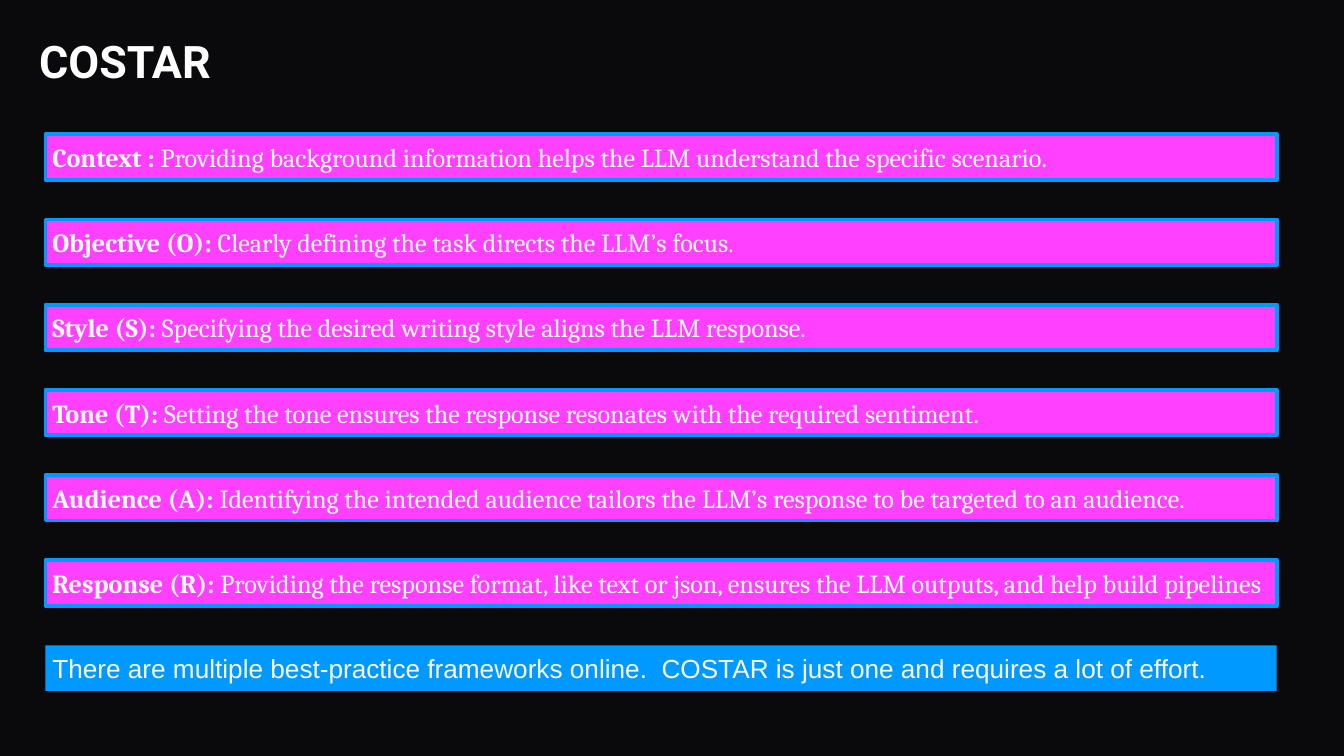
from pptx import Presentation
from pptx.dml.color import RGBColor
from pptx.enum.shapes import MSO_SHAPE
from pptx.enum.text import MSO_ANCHOR, MSO_AUTO_SIZE, PP_ALIGN
from pptx.util import Cm, Pt

COLORS = {
    "background": "0A0A0C",
    "title": "FFFFFF",
    "text": "FAFAFF",
    "letter": "FF40FF",
    "accent": "0099FF",
}

BAR_LEFT, BAR_TOP = 0.86, 2.54
BAR_WIDTH, BAR_HEIGHT = 23.27, 0.86
BAR_PITCH = 1.61

COSTAR = [
    ("Context :", "Providing background information helps the LLM understand the specific scenario."),
    ("Objective (O):", "Clearly defining the task directs the LLM’s focus."),
    ("Style (S):", "Specifying the desired writing style aligns the LLM response."),
    ("Tone (T):", "Setting the tone ensures the response resonates with the required sentiment."),
    ("Audience (A):", "Identifying the intended audience tailors the LLM’s response to be targeted to an audience."),
    ("Response (R):", "Providing the response format, like text or json, ensures the LLM outputs, and help build pipelines"),
]
CAVEAT = "There are multiple best-practice frameworks online.  COSTAR is just one and requires a lot of effort."


def rgb(name):
    return RGBColor.from_string(COLORS[name])


def set_font(paragraph, face, size, color):
    font = paragraph.font
    font.name, font.size = face, Pt(size)
    font.color.rgb = rgb(color)


def set_frame(frame, inset):
    frame.word_wrap = True
    frame.vertical_anchor = MSO_ANCHOR.MIDDLE
    frame.margin_left = frame.margin_right = Cm(inset)
    frame.margin_top = frame.margin_bottom = Cm(inset)


def add_title(slide, wording):
    title = slide.shapes.add_textbox(Cm(0.64), Cm(0.38), Cm(21.36), Cm(1.65))
    set_frame(title.text_frame, 0.1)
    heading = title.text_frame.paragraphs[0]
    heading.text = wording
    heading.line_spacing = 0.9
    set_font(heading, "Roboto", 24, "title")
    heading.font.bold = True


def add_bar(slide, row, fill, face, outline=None):
    bar = slide.shapes.add_shape(
        MSO_SHAPE.RECTANGLE,
        Cm(BAR_LEFT), Cm(BAR_TOP + row * BAR_PITCH), Cm(BAR_WIDTH), Cm(BAR_HEIGHT),
    )
    bar.shadow.inherit = False
    bar.fill.solid()
    bar.fill.fore_color.rgb = rgb(fill)
    if outline:
        bar.line.color.rgb = rgb(outline)
        bar.line.width = Pt(2)
    else:
        bar.line.fill.background()
    set_frame(bar.text_frame, 0.13)
    bar.text_frame.auto_size = MSO_AUTO_SIZE.SHAPE_TO_FIT_TEXT
    sentence = bar.text_frame.paragraphs[0]
    sentence.alignment = PP_ALIGN.LEFT
    set_font(sentence, face, 14, "text")
    return sentence


def add_letter(slide, row, term, meaning):
    sentence = add_bar(slide, row, "letter", "Cambria", outline="accent")
    label = sentence.add_run()
    label.text = term
    label.font.bold = True
    sentence.add_run().text = f" {meaning}"


def main():
    deck = Presentation()
    deck.slide_width, deck.slide_height = Cm(25.4), Cm(14.29)
    slide = deck.slides.add_slide(deck.slide_layouts[6])
    slide.background.fill.solid()
    slide.background.fill.fore_color.rgb = rgb("background")

    add_title(slide, "COSTAR")
    for row, (term, meaning) in enumerate(COSTAR):
        add_letter(slide, row, term, meaning)
    caveat = add_bar(slide, len(COSTAR), "accent", "Arial")
    caveat.add_run().text = CAVEAT

    deck.save("out.pptx")


if __name__ == "__main__":
    main()
